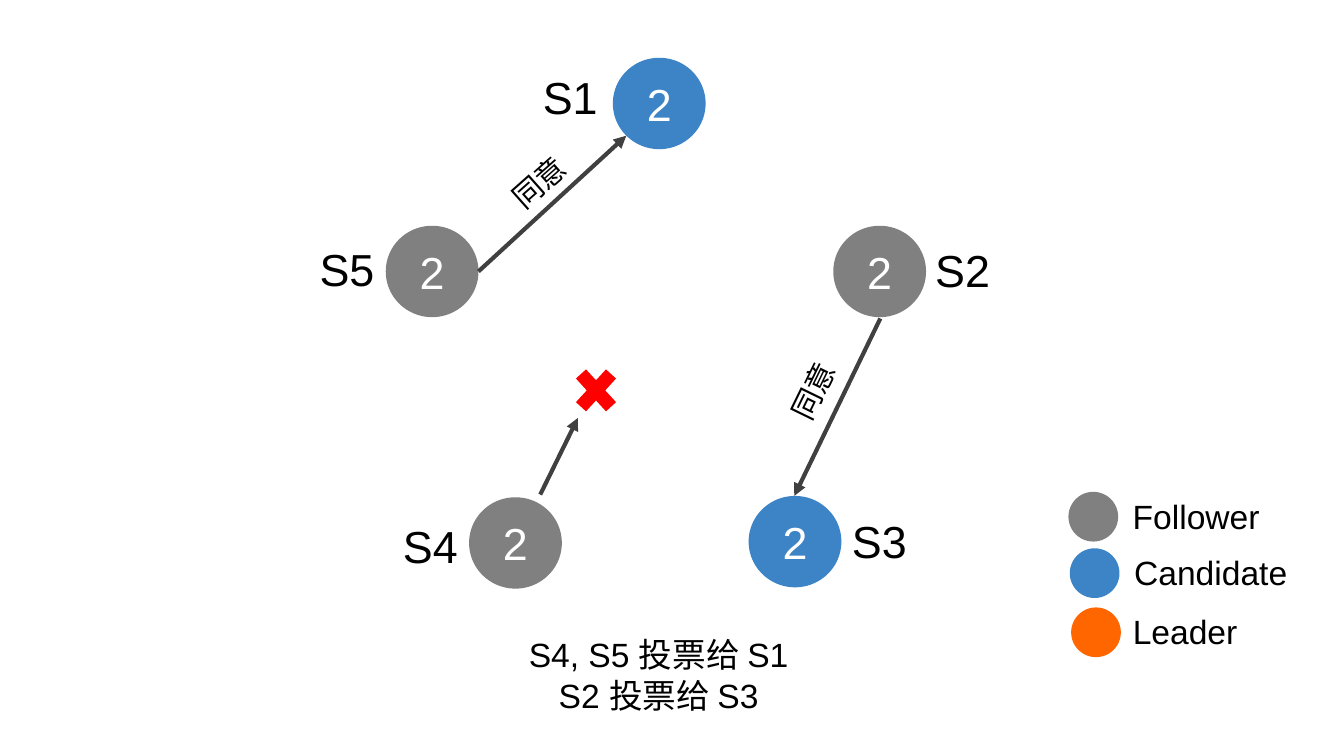
from dataclasses import dataclass

from lxml.etree import SubElement
from pptx import Presentation
from pptx.dml.color import RGBColor
from pptx.enum.shapes import MSO_CONNECTOR, MSO_SHAPE
from pptx.enum.text import MSO_ANCHOR, PP_ALIGN
from pptx.oxml.ns import qn
from pptx.util import Pt

PX = 9144
SLIDE_W = 1000 * PX
SLIDE_H = SLIDE_W * 9 // 16
FONT = "Arial"
BLACK = RGBColor(0x00, 0x00, 0x00)
WHITE = RGBColor(0xFF, 0xFF, 0xFF)
GRAY = RGBColor(0x80, 0x80, 0x80)
BLUE = RGBColor(0x3D, 0x84, 0xC7)
ORANGE = RGBColor(0xFF, 0x66, 0x00)
RED = RGBColor(0xFF, 0x00, 0x00)
DARK = RGBColor(0x40, 0x40, 0x40)
NODE_W, NODE_H = 69, 68
DOT = 37


@dataclass(frozen=True)
class Server:
    name: str
    x: int
    y: int
    label_x: int
    label_y: int
    color: RGBColor


@dataclass(frozen=True)
class Role:
    name: str
    x: int
    y: int
    label_x: int
    label_w: int
    color: RGBColor


@dataclass(frozen=True)
class Arrow:
    x1: int
    y1: int
    x2: int
    y2: int


@dataclass(frozen=True)
class VoteLabel:
    x: int
    y: int
    angle: float


SERVERS = [
    Server("S1", 456, 43, 394, 47, BLUE),
    Server("S5", 287, 168, 228, 175, GRAY),
    Server("S2", 620, 168, 686, 176, GRAY),
    Server("S4", 349, 370, 290, 381, GRAY),
    Server("S3", 557, 369, 624, 377, BLUE),
]
ROLES = [
    Role("Follower", 795, 366, 833, 116, GRAY),
    Role("Candidate", 796, 408, 834, 135, BLUE),
    Role("Leader", 797, 452, 833, 99, ORANGE),
]
ARROWS = [
    Arrow(655, 237, 591, 369),
    Arrow(356, 202, 466, 101),
    Arrow(402, 368, 430, 311),
]
VOTE_LABELS = [VoteLabel(369, 117, 318.4), VoteLabel(573, 272, 296)]


def style_text(tf, size: int, color: RGBColor, align: PP_ALIGN) -> None:
    for p in tf.paragraphs:
        p.alignment = align
        for r in p.runs:
            r.font.name = FONT
            r.font.size = Pt(size)
            r.font.color.rgb = color


def add_filled(slide, kind: MSO_SHAPE, x: int, y: int, w: int, h: int, color: RGBColor):
    sp = slide.shapes.add_shape(kind, x * PX, y * PX, w * PX, h * PX)
    sp.shadow.inherit = False
    sp.fill.solid()
    sp.fill.fore_color.rgb = color
    sp.line.fill.background()
    return sp


def add_text(slide, text: str, x: int, y: int, w: int, h: int, size: int,
             align: PP_ALIGN = PP_ALIGN.LEFT, wrap: bool = False):
    sp = slide.shapes.add_textbox(x * PX, y * PX, w * PX, h * PX)
    tf = sp.text_frame
    tf.word_wrap = wrap
    tf.text = text
    style_text(tf, size, BLACK, align)
    return sp


def add_server(slide, server: Server) -> None:
    sp = add_filled(slide, MSO_SHAPE.OVAL, server.x, server.y, NODE_W, NODE_H, server.color)
    tf = sp.text_frame
    tf.text = "2"
    tf.vertical_anchor = MSO_ANCHOR.MIDDLE
    style_text(tf, 24, WHITE, PP_ALIGN.CENTER)
    add_text(slide, server.name, server.label_x, server.label_y, 61, 50, 24)


def add_role(slide, role: Role) -> None:
    add_filled(slide, MSO_SHAPE.OVAL, role.x, role.y, DOT, DOT, role.color)
    add_text(slide, role.name, role.label_x, role.y - 2, role.label_w, 40, 18)


def add_arrow(slide, arrow: Arrow) -> None:
    cx = slide.shapes.add_connector(MSO_CONNECTOR.STRAIGHT, arrow.x1 * PX, arrow.y1 * PX,
                                    arrow.x2 * PX, arrow.y2 * PX)
    cx.line.color.rgb = DARK
    cx.line.width = Pt(2.25)
    SubElement(cx.line._get_or_add_ln(), qn("a:tailEnd"), type="triangle")
    SubElement(cx._element.spPr, qn("a:effectLst"))


def main() -> None:
    prs = Presentation()
    prs.slide_width, prs.slide_height = SLIDE_W, SLIDE_H
    s = prs.slides.add_slide(prs.slide_layouts[6])
    for server in SERVERS:
        add_server(s, server)
    for role in ROLES:
        add_role(s, role)
    for arrow in ARROWS:
        add_arrow(s, arrow)
    for label in VOTE_LABELS:
        sp = add_text(s, "同意", label.x, label.y, 65, 37, 16)
        sp.rotation = label.angle
    add_text(s, "S4, S5 投票给 S1\nS2 投票给 S3", 379, 467, 222, 71, 18,
             PP_ALIGN.CENTER, wrap=True)
    add_filled(s, MSO_SHAPE.MATH_MULTIPLY, 422, 267, 43, 47, RED)
    prs.save("out.pptx")


if __name__ == "__main__":
    main()
